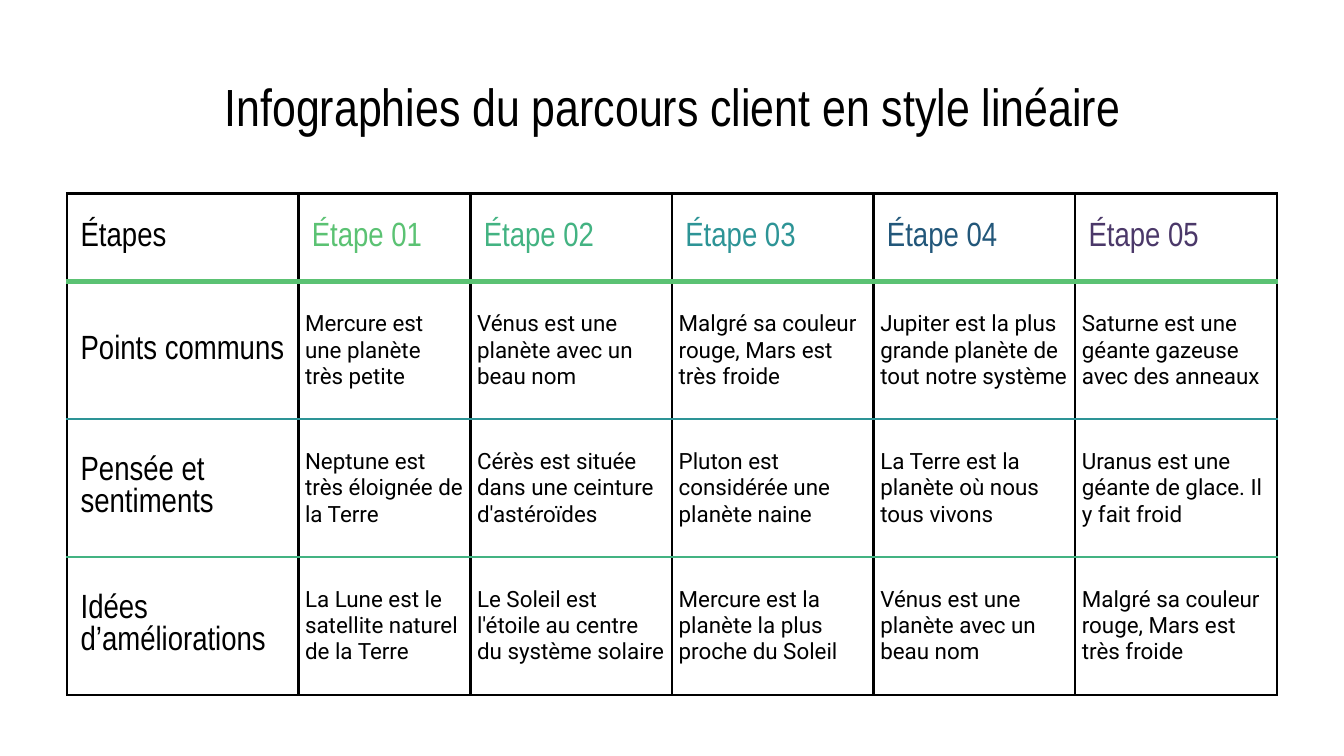
"""Build a customer journey slide with a titled table of five stages."""
from lxml.etree import SubElement
from pptx import Presentation
from pptx.dml.color import RGBColor
from pptx.enum.text import MSO_ANCHOR as Anchor, PP_ALIGN as Align
from pptx.oxml.ns import qn
from pptx.util import Pt

PX = 4572
COLORS = {
    "ink": "000000",
    "leaf": "5BC273",
    "mint": "43B382",
    "teal": "2D9496",
    "navy": "22577A",
    "plum": "4B3869",
}
HEADING, BODY = "Arial Narrow", "Roboto"


def write(frame, text, size=18, font=HEADING, color="ink", align=Align.LEFT):
    frame.word_wrap = True
    para = frame.paragraphs[0]
    para.alignment = align
    span = para.add_run()
    span.text = text
    span.font.size = Pt(size)
    span.font.name = font
    span.font.color.rgb = RGBColor.from_string(COLORS[color])


def add_border(cell, side, color, width):
    line = SubElement(cell._tc.get_or_add_tcPr(), qn(f"a:ln{side}"), w=str(Pt(width)))
    fill = SubElement(line, qn("a:solidFill"))
    SubElement(fill, qn("a:srgbClr"), val=COLORS[color])


deck = Presentation()
deck.slide_width, deck.slide_height = 2000 * PX, 1125 * PX
page = deck.slides.add_slide(deck.slide_layouts[6])

title = page.shapes.add_textbox(100 * PX, 98 * PX, 1800 * PX, 126 * PX).text_frame
title.margin_left = title.margin_right = title.margin_top = title.margin_bottom = 20 * PX
title.vertical_anchor = Anchor.BOTTOM
write(title, "Infographies du parcours client en style linéaire", size=28, align=Align.CENTER)

rows = [
    ["Étapes", "Étape 01", "Étape 02", "Étape 03", "Étape 04", "Étape 05"],
    [
        "Points communs",
        "Mercure est une planète très petite",
        "Vénus est une planète avec un beau nom",
        "Malgré sa couleur rouge, Mars est très froide",
        "Jupiter est la plus grande planète de tout notre système",
        "Saturne est une géante gazeuse avec des anneaux",
    ],
    [
        "Pensée et sentiments",
        "Neptune est très éloignée de la Terre",
        "Cérès est située dans une ceinture d'astéroïdes",
        "Pluton est considérée une planète naine",
        "La Terre est la planète où nous tous vivons",
        "Uranus est une géante de glace. Il y fait froid",
    ],
    [
        "Idées d’améliorations",
        "La Lune est le satellite naturel de la Terre",
        "Le Soleil est l'étoile au centre du système solaire",
        "Mercure est la planète la plus proche du Soleil",
        "Vénus est une planète avec un beau nom",
        "Malgré sa couleur rouge, Mars est très froide",
    ],
]
widths = [344, 256] + [300] * 4
heights = [131] + [205] * 3
stage_colors = ["ink", "leaf", "mint", "teal", "navy", "plum"]
rules = [("ink", 1.5), ("leaf", 3), ("teal", 1.5), ("mint", 1.5), ("ink", 1.5)]

table = page.shapes.add_table(
    len(rows), len(widths), 100 * PX, 288 * PX, sum(widths) * PX, sum(heights) * PX
).table
table.first_row = table.horz_banding = False
for column, width in zip(table.columns, widths):
    column.width = width * PX
for row, height in zip(table.rows, heights):
    row.height = height * PX

for r, texts in enumerate(rows):
    for c, text in enumerate(texts):
        cell = table.cell(r, c)
        is_heading = r == 0 or c == 0
        cell.margin_left = cell.margin_right = (20 if is_heading else 10) * PX
        cell.margin_top = cell.margin_bottom = (20 if is_heading else 0) * PX
        cell.vertical_anchor = Anchor.MIDDLE
        for side in "LR":
            add_border(cell, side, "ink", 1.5)
        add_border(cell, "T", *rules[r])
        add_border(cell, "B", *rules[r + 1])
        cell.fill.background()
        if is_heading:
            write(cell.text_frame, text, color=stage_colors[c] if r == 0 else "ink")
        else:
            write(cell.text_frame, text, size=12, font=BODY)

deck.save("out.pptx")
